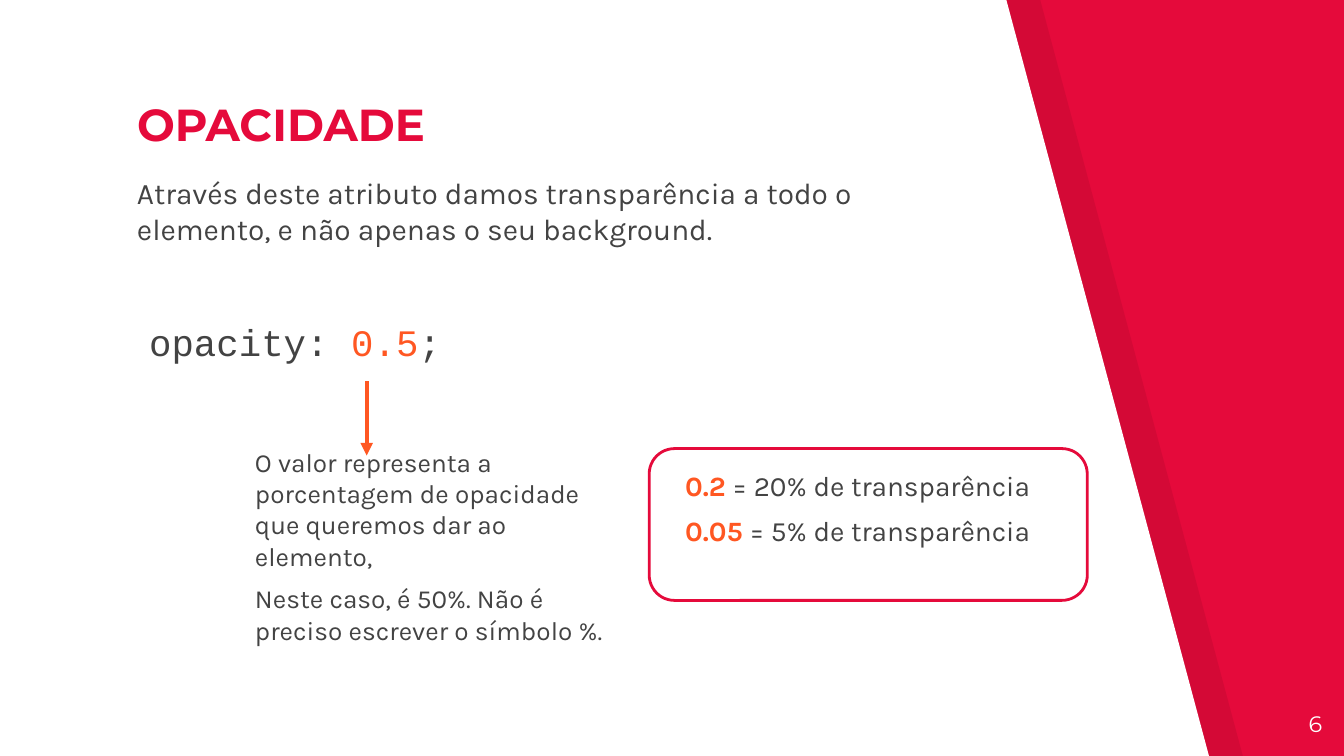
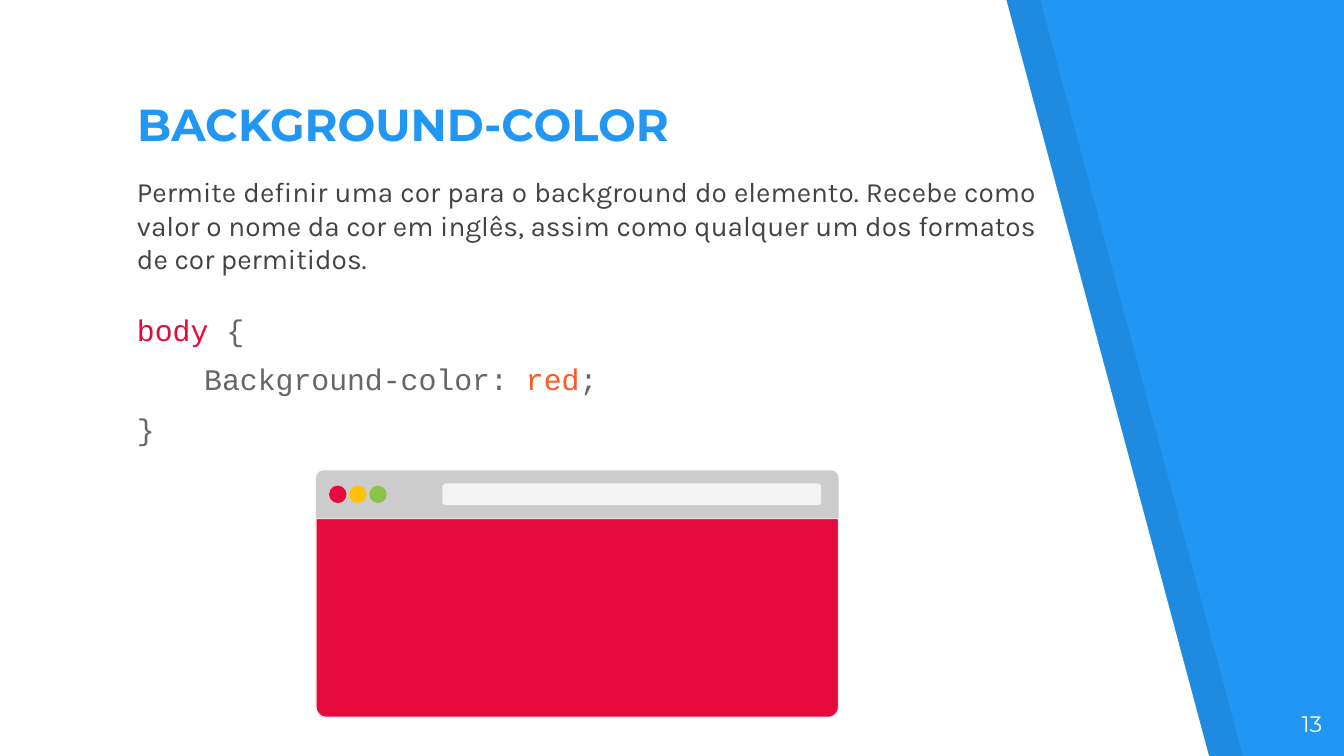
"""Build two CSS lesson slides: opacity and background-color."""
from lxml import etree
from pptx import Presentation, util as u
from pptx.dml.color import RGBColor
from pptx.enum import shapes, text
from pptx.oxml import ns

COLORS = {
    "red": "E50A3B", "blue": "2196F3", "orange": "FF5722", "amber": "FFC107",
    "green": "8BC34A", "ink": "434343", "code": "666666", "bar": "CCCCCC",
    "field": "F3F3F3", "edge": "EFEFEF", "white": "FFFFFF", "black": "000000",
}
HEADING, BODY, CODE = "Montserrat", "Karla", "Courier New"
LEFT = 2.34
INSET = 0.25
BAND_OUTLINE = [(0, -0.03), (0, 14.33), (22.86, 14.33), (19.02, 0)]
BAND_OFFSET = 0.64

OPACITY = {
    "title": "OPACIDADE", "theme": "red", "number": "6", "title_width": 13.34,
    "texts": [
        {"at": (LEFT, 3.05, 16.28, 1.52), "font": BODY, "size": 16, "lines": [
            [("Através deste atributo damos transparência a todo o elemento, "
              "e não apenas o seu background.", "ink")]]},
        {"at": (2.57, 5.79, 6.43, 2.18), "font": CODE, "size": 20, "lines": [
            [("opacity: ", "ink"), ("0.5", "orange"), (";", "ink")]]},
        {"at": (4.57, 8.18, 7.16, 3.58), "font": BODY, "size": 14, "lines": [
            [("O valor representa a porcentagem de opacidade que queremos dar "
              "ao elemento,", "ink")],
            [("Neste caso, é 50%. Não é preciso escrever o símbolo %.", "ink")]]},
        {"at": (12.7, 8.61, 8.15, 2.64), "font": BODY, "size": 15, "lines": [
            [("0.2", "orange", True), (" = 20% de transparência", "ink")],
            [("0.05", "orange", True), (" = 5% de transparência", "ink")]]},
    ],
}
BACKGROUND = {
    "title": "BACKGROUND-COLOR", "theme": "blue", "number": "13", "title_width": 14.4,
    "texts": [
        {"at": (LEFT, 3.05, 17.5, 2.36), "font": BODY, "size": 15,
         "align": text.PP_ALIGN.JUSTIFY, "lines": [
             [("Permite definir uma cor para o background do elemento. Recebe como "
               "valor o nome da cor em inglês, assim como qualquer um dos formatos "
               "de cor permitidos.", "ink")]]},
        {"at": (LEFT, 5.64, 16.28, 3.28), "font": CODE, "size": 16, "gap": 7.3, "lines": [
            [("body ", "red"), ("{", "code")],
            [("\tBackground-color:", "code"), (" red", "orange"), (";", "code")],
            [("}", "code")]]},
    ],
}
EXAMPLES_FRAME = (12.27, 8.48, 8.28, 2.87)
ARROW = (6.93, 7.21, 6.93, 8.61)
WINDOW = {"left": 5.97, "top": 8.89, "width": 9.88, "bar": 0.91, "view": 3.76}
BUTTONS = ["red", "amber", "green"]
BUTTON_SIZE, BUTTON_STEP = 0.33, 0.38
ADDRESS = (8.36, 9.14, 7.16, 0.41)


def cm(values):
    return [u.Cm(value) for value in values]


def rgb(name):
    return RGBColor.from_string(COLORS[name])


def paint(shape, fill=None, line=None, width=0.75):
    shape.shadow.inherit = False
    if fill:
        shape.fill.solid()
        shape.fill.fore_color.rgb = rgb(fill)
    else:
        shape.fill.background()
    if line:
        shape.line.color.rgb = rgb(line)
        shape.line.width = u.Pt(width)
    else:
        shape.line.fill.background()
    return shape


def add_shape(page, kind, at, radii=(), **style):
    shape = page.shapes.add_shape(kind, *cm(at))
    for index, radius in enumerate(radii):
        shape.adjustments[index] = radius
    return paint(shape, **style)


def add_band(page, offset, fill):
    points = [cm((x + offset, y)) for x, y in BAND_OUTLINE]
    outline = page.shapes.build_freeform(*points[0])
    outline.add_line_segments(points[1:])
    return paint(outline.convert_to_shape(), fill)


def write(box, lines, font, size, align=text.PP_ALIGN.LEFT, gap=6,
          anchor=text.MSO_ANCHOR.TOP, bold=None):
    frame = box.text_frame
    frame.word_wrap = True
    frame.auto_size = text.MSO_AUTO_SIZE.NONE
    frame.vertical_anchor = anchor
    frame.margin_left = frame.margin_right = u.Cm(INSET)
    frame.margin_top = frame.margin_bottom = u.Cm(INSET)
    for index, line in enumerate(lines):
        para = frame.add_paragraph() if index else frame.paragraphs[0]
        para.alignment = align
        if index:
            para.space_before = u.Pt(gap)
        para.font.name, para.font.size, para.font.bold = font, u.Pt(size), bold
        for words, color, *strong in line:
            span = para.add_run()
            span.text = words
            span.font.color.rgb = rgb(color)
            if strong:
                span.font.bold = True


def add_text(page, at, **style):
    write(page.shapes.add_textbox(*cm(at)), **style)


def add_arrow(page, ends, color):
    arrow = page.shapes.add_connector(shapes.MSO_CONNECTOR.STRAIGHT, *cm(ends))
    arrow.line.color.rgb = rgb(color)
    arrow.line.width = u.Pt(2.25)
    etree.SubElement(arrow.line._get_or_add_ln(), ns.qn("a:tailEnd"), type="triangle")
    etree.SubElement(arrow.element.spPr, ns.qn("a:effectLst"))


def add_page(deck, content):
    page = deck.slides.add_slide(deck.slide_layouts[5])
    theme = content["theme"]
    page.background.fill.solid()
    page.background.fill.fore_color.rgb = rgb(theme)

    shade = add_band(page, BAND_OFFSET, "black")
    tint = shade.element.spPr.find(".//" + ns.qn("a:srgbClr"))
    etree.SubElement(tint, ns.qn("a:alpha"), val="7000")
    add_band(page, 0, "white")

    title = page.shapes.title
    page.shapes.element.append(title.element)
    title.left, title.top, title.width, title.height = cm(
        (LEFT, 1.96, content["title_width"], 1.14))
    write(title, [[(content["title"], theme)]], HEADING, 24,
          anchor=text.MSO_ANCHOR.BOTTOM, bold=True)
    add_text(page, (23.72, 13.18, 1.52, 1.09), lines=[[(content["number"], "white")]],
             font=HEADING, size=12, align=text.PP_ALIGN.RIGHT)
    for block in content["texts"]:
        add_text(page, **block)
    return page


def add_browser(page):
    kinds = shapes.MSO_SHAPE
    left, top, width = WINDOW["left"], WINDOW["top"], WINDOW["width"]
    bar = WINDOW["bar"]
    view = add_shape(page, kinds.ROUND_2_SAME_RECTANGLE,
                     (left, top + bar, width, WINDOW["view"]), (0.053, 0),
                     fill="red", line="edge")
    view.rotation = 180
    add_shape(page, kinds.ROUND_2_SAME_RECTANGLE, (left, top, width, bar),
              (0.167, 0), fill="bar")
    for index, color in enumerate(BUTTONS):
        add_shape(page, kinds.OVAL,
                  (left + 0.25 + index * BUTTON_STEP, top + (bar - BUTTON_SIZE) / 2,
                   BUTTON_SIZE, BUTTON_SIZE), fill=color)
    add_shape(page, kinds.ROUNDED_RECTANGLE, ADDRESS, (0.167,), fill="field")


def main():
    deck = Presentation()
    deck.slide_width, deck.slide_height = cm((25.4, 14.29))
    opacity = add_page(deck, OPACITY)
    add_shape(opacity, shapes.MSO_SHAPE.ROUNDED_RECTANGLE, EXAMPLES_FRAME, (0.167,),
              line="red", width=1.5)
    add_arrow(opacity, ARROW, "orange")
    add_browser(add_page(deck, BACKGROUND))
    deck.save("out.pptx")


if __name__ == "__main__":
    main()
